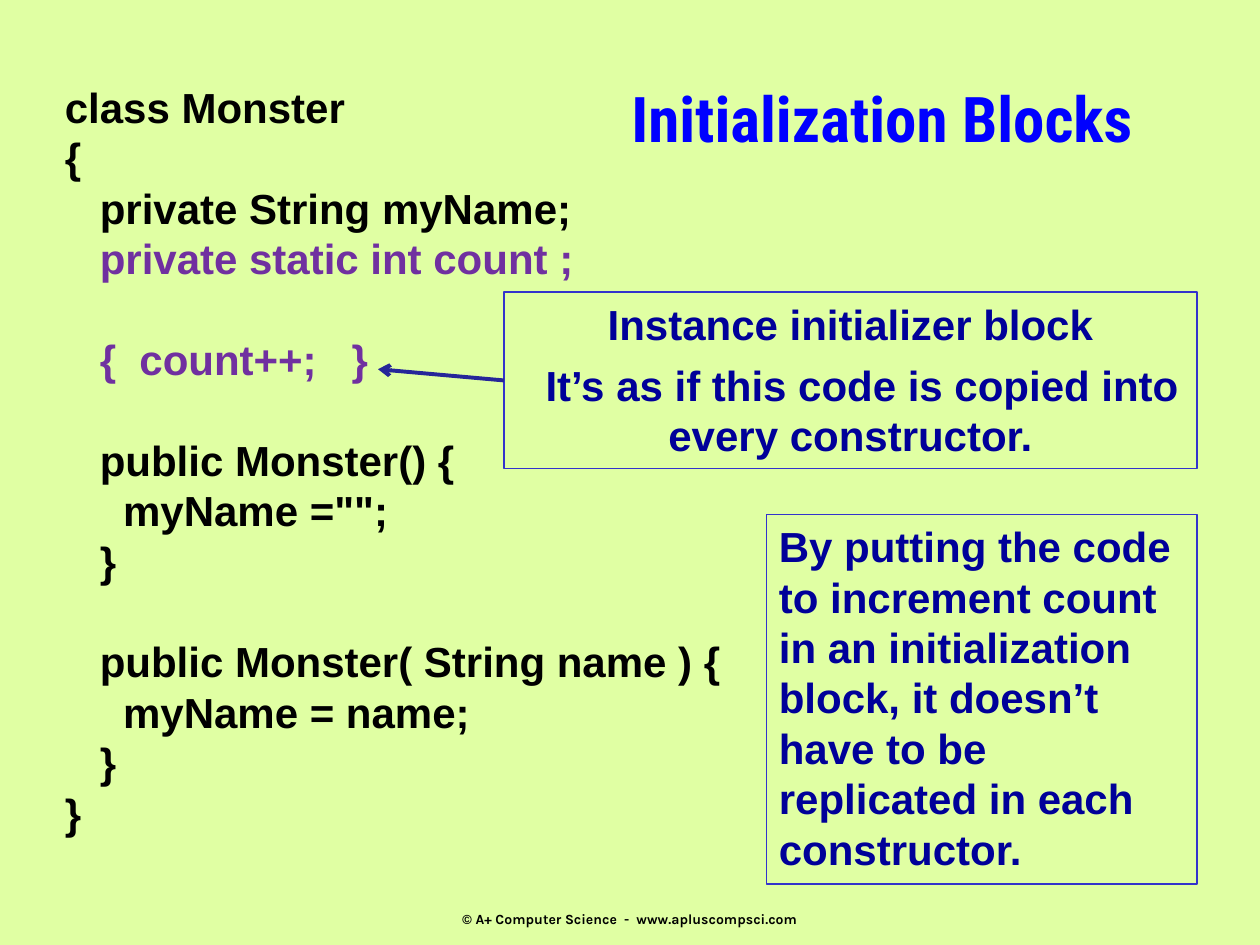
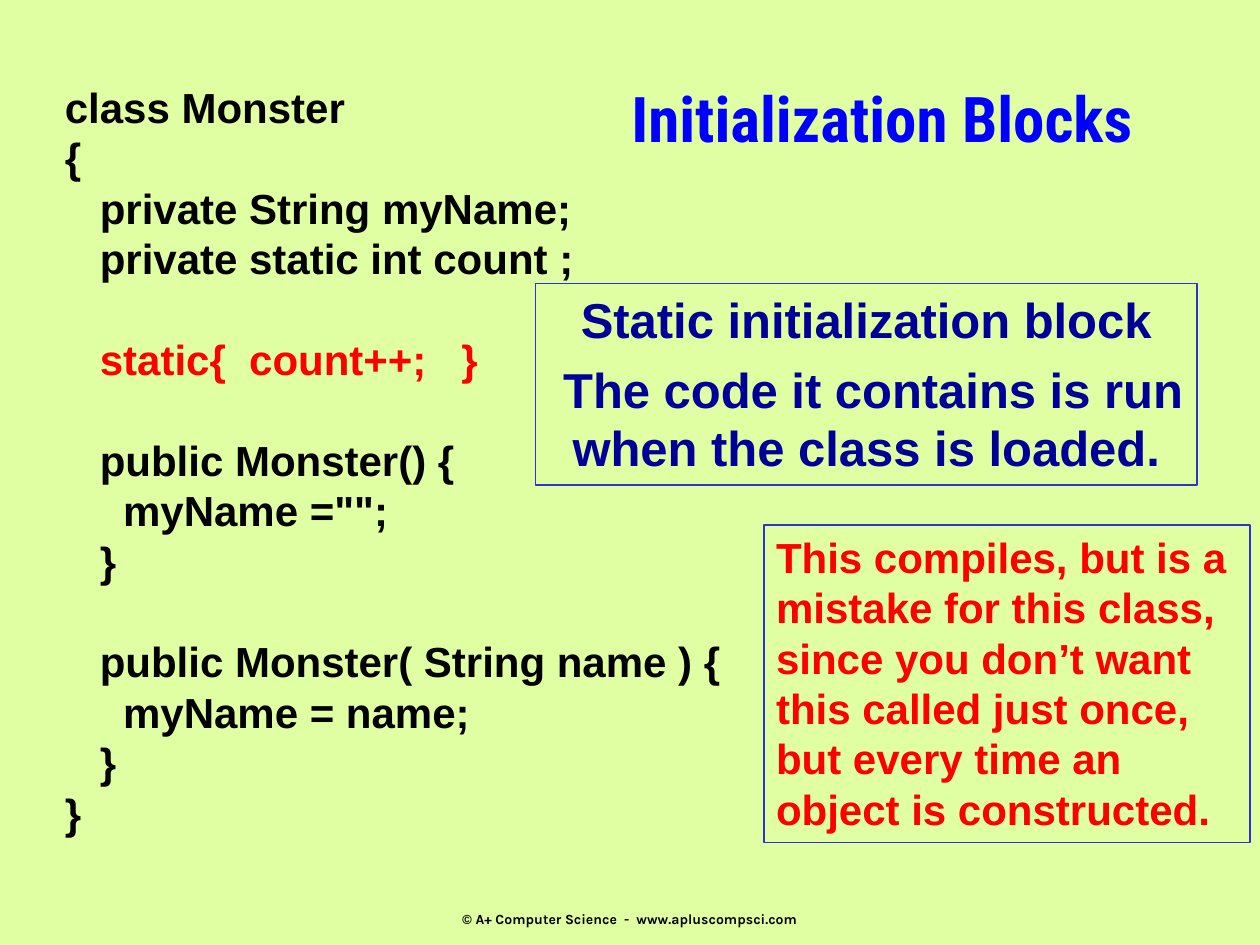
import pptx
import pptx.dml.color
import pptx.enum.shapes
import pptx.enum.text
import pptx.oxml.ns
import pptx.util
from lxml import etree

Pt = pptx.util.Pt
Align = pptx.enum.text.PP_ALIGN
Anchor = pptx.enum.text.MSO_ANCHOR
qn = pptx.oxml.ns.qn

COLORS = {
    "background": "E0FFA3",
    "title": "0000FF",
    "code": "000000",
    "instance": "7030A0",
    "static": "FF0000",
    "note": "000099",
    "warning": "FF0000",
    "border": "3333CC",
    "arrow": "262699",
}
CODE_LINE_HEIGHT = 28.8
TITLE = "Initialization Blocks"
FOOTER = "© A+ Computer Science  -  www.apluscompsci.com"
COUNTER_LINE = "   private static int count ;"


def monster_class(initializer):
    return [
        "class Monster",
        "{",
        "   private String myName;",
        COUNTER_LINE,
        "",
        initializer,
        "",
        "   public Monster() {",
        '     myName ="";',
        "   }",
        "",
        "   public Monster( String name ) {",
        "     myName = name;",
        "   }",
        "}",
    ]


class Deck:
    """Holds the shared style and the slide being built."""

    def __init__(self):
        self.presentation = pptx.Presentation()
        self.presentation.slide_width = Pt(720)
        self.presentation.slide_height = Pt(540)
        fill = self.presentation.slide_master.background.fill
        fill.solid()
        fill.fore_color.rgb = self.color("background")
        self.slide = None

    def color(self, name):
        return pptx.dml.color.RGBColor.from_string(COLORS[name])

    def style(self, paragraph, size, color, font="Arial", align=Align.LEFT):
        paragraph.alignment = align
        paragraph.font.name = font
        paragraph.font.size = Pt(size)
        paragraph.font.bold = True
        paragraph.font.color.rgb = self.color(color)

    def add_slide(self):
        layout = self.presentation.slide_layouts[5]
        self.slide = self.presentation.slides.add_slide(layout)
        self.title()
        self.footer()

    def title(self):
        title = self.slide.shapes.title
        title.left, title.top, title.width, title.height = map(Pt, (348, 42, 312, 66))
        frame = title.text_frame
        frame.text = TITLE
        frame.word_wrap = False
        frame.auto_size = pptx.enum.text.MSO_AUTO_SIZE.NONE
        frame.vertical_anchor = Anchor.TOP
        self.style(frame.paragraphs[0], 36, "title", "Roboto Condensed", Align.CENTER)

    def text_box(self, left, top, width, height):
        shape = self.slide.shapes.add_textbox(*map(Pt, (left, top, width, height)))
        shape.text_frame.word_wrap = False
        return shape.text_frame

    def footer(self):
        frame = self.text_box(246, 515, 228, 20)
        frame.vertical_anchor = Anchor.MIDDLE
        frame.text = FOOTER
        self.style(frame.paragraphs[0], 8, "code", "Karla", Align.CENTER)

    def code(self, lines, highlighted, highlight):
        frame = self.text_box(30, 43, 392.5, 443.5)
        paragraph = frame.paragraphs[0]
        after_gap = False
        for number, line in enumerate(lines):
            if not line:
                after_gap = True
                continue
            if number:
                paragraph = frame.add_paragraph()
            paragraph.text = line
            if after_gap:
                paragraph.space_before = Pt(CODE_LINE_HEIGHT)
            after_gap = False
            self.style(paragraph, 24, highlight if line in highlighted else "code")

    def note(self, box, texts, size=24, color="note", align=Align.LEFT, indent=0):
        rectangle = pptx.enum.shapes.MSO_SHAPE.RECTANGLE
        shape = self.slide.shapes.add_shape(rectangle, *map(Pt, box))
        shape.shadow.inherit = False
        shape.fill.background()
        shape.line.color.rgb = self.color("border")
        shape.line.width = Pt(1)
        frame = shape.text_frame
        frame.word_wrap = True
        frame.vertical_anchor = Anchor.TOP
        for number, text in enumerate(texts):
            paragraph = frame.add_paragraph() if number else frame.paragraphs[0]
            paragraph.text = text
            self.style(paragraph, size, color, align=align)
            if number < len(texts) - 1:
                paragraph.space_after = Pt(6)
        if indent:
            paragraph._p.get_or_add_pPr().set("indent", str(Pt(indent)))
        return shape

    def arrow(self, source, left, top):
        straight = pptx.enum.shapes.MSO_CONNECTOR.STRAIGHT
        connector = self.slide.shapes.add_connector(straight, 0, 0, Pt(left), Pt(top))
        connector.begin_connect(source, 1)
        connector.line.color.rgb = self.color("arrow")
        connector.line.width = Pt(2.25)
        line = connector.line._get_or_add_ln()
        etree.SubElement(line, qn("a:tailEnd")).set("type", "arrow")
        etree.SubElement(connector._element.spPr, qn("a:effectLst"))


def instance_slide(deck):
    deck.add_slide()
    initializer = "   {  count++;   }"
    deck.code(monster_class(initializer), [COUNTER_LINE, initializer], "instance")
    deck.note((438, 294, 246, 211), [
        "By putting the code to increment count in an initialization block, "
        "it doesn’t have to be replicated in each constructor.",
    ])
    explanation = deck.note((288, 167, 396, 100.8), [
        "Instance initializer block",
        "It’s as if this code is copied into every constructor.",
    ], align=Align.CENTER, indent=13.3)
    deck.arrow(explanation, 216, 211)


def static_slide(deck):
    deck.add_slide()
    initializer = "   static{  count++;   }"
    deck.code(monster_class(initializer), [initializer], "static")
    deck.note((436.4, 300, 278, 181.5), [
        "This compiles, but is a mistake for this class, since you don’t want "
        "this called just once, but every time an object is constructed.",
    ], color="warning")
    deck.note((306, 162, 378, 115.2), [
        "Static initialization block",
        "The code it contains is run when the class is loaded.",
    ], size=28, align=Align.CENTER, indent=7.8)


def main():
    deck = Deck()
    instance_slide(deck)
    static_slide(deck)
    deck.presentation.save("out.pptx")


if __name__ == "__main__":
    main()
